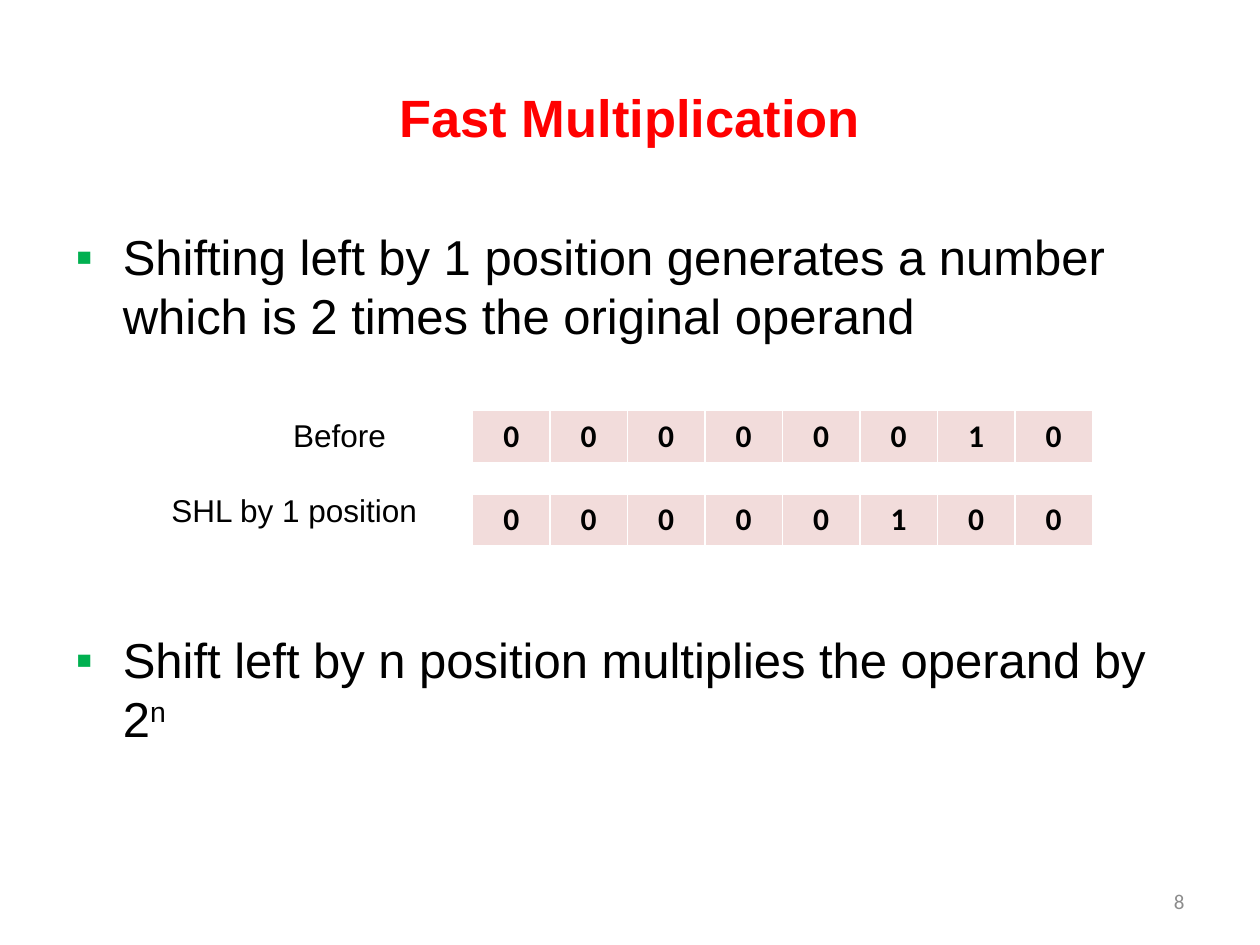
"""Build a slide on fast multiplication by left shifts."""
from dataclasses import dataclass

from lxml.etree import SubElement
from pptx import Presentation
from pptx.dml.color import RGBColor
from pptx.enum.text import MSO_ANCHOR, MSO_AUTO_SIZE, PP_ALIGN
from pptx.oxml.ns import qn
from pptx.util import Inches, Pt

COLORS = {
    "title": "FF0000",
    "text": "000000",
    "bullet": "00B050",
    "cell": "F2DCDB",
    "number": "8C8C8C",
}
BIT_WIDTH = 0.615
ROW_HEIGHT = 0.41
REGISTER_LEFT = 3.75


@dataclass
class Register:
    label: str
    label_left: float
    label_top: float
    label_width: float
    top: float
    bits: str


REGISTERS = [
    Register("Before", 2.22, 3.25, 0.95, 3.26, "00000010"),
    Register("SHL by 1 position", 1.25, 3.85, 2.17, 3.92, "00000100"),
]


def write(paragraph, text: str, *, size: float, color: str = "text",
          font: str = "Arial", bold: bool = False, align=None, raised: int = 0) -> None:
    run = paragraph.add_run()
    run.text = text
    run.font.size = Pt(size)
    run.font.name = font
    run.font.bold = bold
    run.font.color.rgb = RGBColor.from_string(COLORS[color])
    if align is not None:
        paragraph.alignment = align
    if raised:
        run.font._element.set("baseline", str(raised * 1000))


def set_bullet(paragraph) -> None:
    properties = paragraph._p.get_or_add_pPr()
    color = SubElement(properties, qn("a:buClr"))
    SubElement(color, qn("a:srgbClr"), val=COLORS["bullet"])
    SubElement(properties, qn("a:buFont"), typeface="Arial")
    SubElement(properties, qn("a:buChar"), char="▪")


def place(shape, left: float, top: float, width: float, height: float) -> None:
    shape.left, shape.top = Inches(left), Inches(top)
    shape.width, shape.height = Inches(width), Inches(height)


def draw_register(slide, register: Register) -> None:
    label = slide.shapes.add_textbox(
        Inches(register.label_left), Inches(register.label_top),
        Inches(register.label_width), Inches(0.4))
    label.text_frame.word_wrap = False
    label.text_frame.auto_size = MSO_AUTO_SIZE.SHAPE_TO_FIT_TEXT
    write(label.text_frame.paragraphs[0], register.label, size=18, align=PP_ALIGN.CENTER)

    count = len(register.bits)
    table = slide.shapes.add_table(
        1, count, Inches(REGISTER_LEFT), Inches(register.top),
        Inches(BIT_WIDTH * count), Inches(ROW_HEIGHT)).table
    table.horz_banding = False
    for cell, bit in zip(table.rows[0].cells, register.bits):
        cell.fill.solid()
        cell.fill.fore_color.rgb = RGBColor.from_string(COLORS["cell"])
        cell.vertical_anchor = MSO_ANCHOR.MIDDLE
        write(cell.text_frame.paragraphs[0], bit, size=18, font="Calibri",
              bold=True, align=PP_ALIGN.CENTER)


presentation = Presentation()
presentation.slide_width, presentation.slide_height = Inches(10), Inches(7.5)
slide = presentation.slides.add_slide(presentation.slide_layouts[1])

title = slide.shapes.title
place(title, 0.5, 0.3, 9, 1.25)
write(title.text_frame.paragraphs[0], "Fast Multiplication", size=30, color="title",
      bold=True, align=PP_ALIGN.CENTER)

body = slide.placeholders[1]
place(body, 0.5, 1.75, 9, 4.95)
body.text_frame.auto_size = MSO_AUTO_SIZE.NONE
single_shift = body.text_frame.paragraphs[0]
write(single_shift, "Shifting left by 1 position generates a number which is 2 times "
      "the original operand", size=28)
set_bullet(single_shift)
general_shift = body.text_frame.add_paragraph()
general_shift.space_before = Pt(163)
write(general_shift, "Shift left by n position multiplies the operand by 2", size=28)
write(general_shift, "n", size=28, raised=30)
set_bullet(general_shift)

for register in REGISTERS:
    draw_register(slide, register)

page_number = slide.shapes.add_textbox(Inches(7.17), Inches(6.95), Inches(2.33), Inches(0.4))
page_number.text_frame.word_wrap = True
page_number.text_frame.vertical_anchor = MSO_ANCHOR.MIDDLE
write(page_number.text_frame.paragraphs[0], "8", size=12, color="number",
      font="Calibri", align=PP_ALIGN.RIGHT)

presentation.save("out.pptx")
